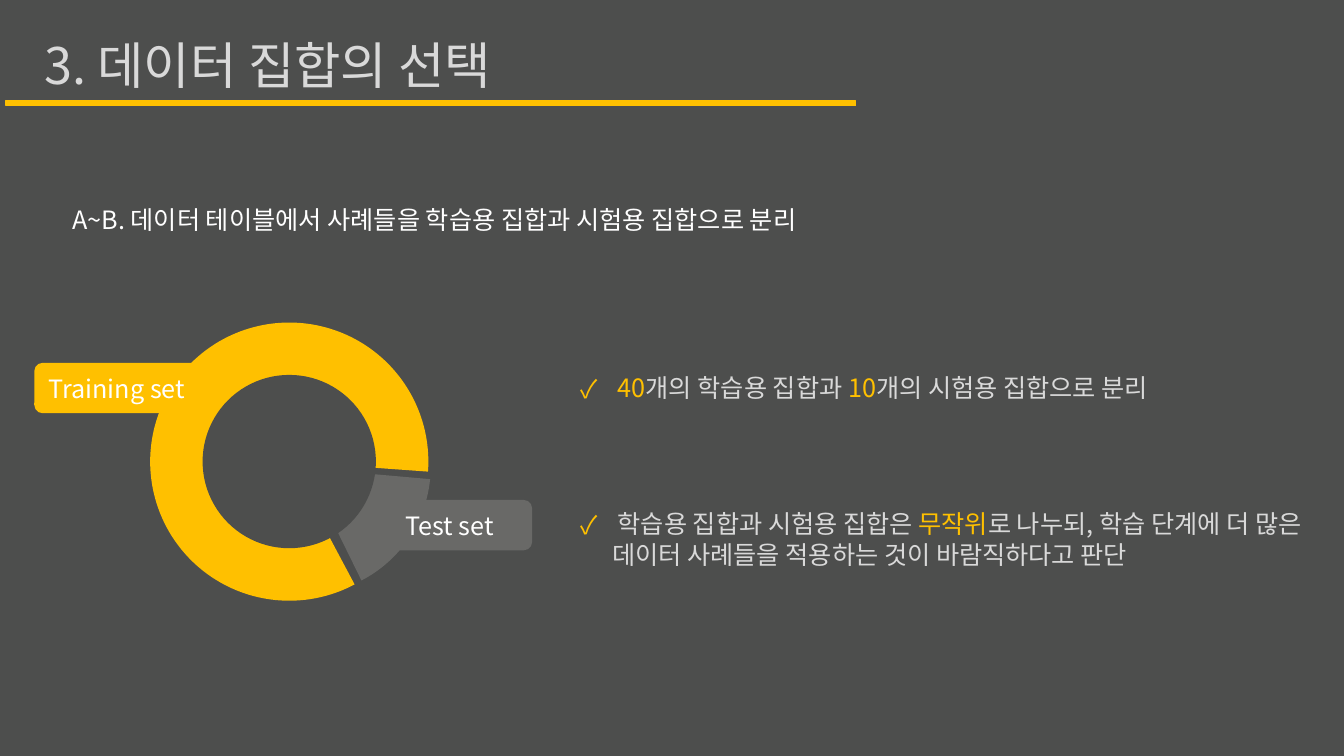
import pptx
import pptx.util
import pptx.dml.color
import pptx.enum.shapes
import pptx.enum.text
import pptx.oxml.ns
import lxml.etree

Pt = pptx.util.Pt
KIND = pptx.enum.shapes.MSO_SHAPE
ALIGN = pptx.enum.text.PP_ALIGN
ANCHOR = pptx.enum.text.MSO_ANCHOR
FONT = "Noto Sans CJK KR"
HUES = {
    "back": "4D4E4D",
    "gold": "FFC000",
    "gray": "696967",
    "pale": "D9D9D9",
    "white": "FFFFFF",
}
POINTS = [
    [(" 40", "gold"), ("개의 학습용 집합과 ", "pale"), ("10", "gold"),
     ("개의 시험용 집합으로 분리", "pale")],
    [(" ", "gold"), ("학습용 집합과 시험용 집합은 ", "pale"), ("무작위", "gold"),
     ("로 나누되, 학습 단계에 더 많은 데이터 사례들을 적용하는 것이 바람직하다고 판단", "pale")],
]


def shade(hue):
    return pptx.dml.color.RGBColor.from_string(HUES[hue])


def add_tag(parent, name, **attrs):
    return lxml.etree.SubElement(parent, pptx.oxml.ns.qn(name), attrs)


def style(run, size, hue):
    run.font.size = Pt(size)
    run.font.name = FONT
    run.font.color.rgb = shade(hue)
    add_tag(run.font._element, "a:ea", typeface=FONT)


def place(item, left, top, width, height):
    item.left, item.top = Pt(left), Pt(top)
    item.width, item.height = Pt(width), Pt(height)


def write(item, text, size, hue, align=ALIGN.LEFT, anchor=ANCHOR.TOP):
    frame = item.text_frame
    frame.text = text
    frame.word_wrap = True
    frame.vertical_anchor = anchor
    para = frame.paragraphs[0]
    para.alignment = align
    style(para.runs[0], size, hue)


def draw(shapes, kind, box, hue, angles=()):
    shape = shapes.add_shape(kind, *map(Pt, box))
    shape.shadow.inherit = False
    shape.fill.solid()
    shape.fill.fore_color.rgb = shade(hue)
    shape.line.fill.background()
    for i, angle in enumerate(angles):
        shape.adjustments[i] = angle
    return shape


def label(shapes, left, top, text, hue):
    shape = draw(shapes, KIND.ROUNDED_RECTANGLE, (left, top, 118, 36), hue)
    write(shape, text, 18, "white", ALIGN.CENTER, ANCHOR.MIDDLE)


def add_ring(slide):
    parts = slide.shapes.add_group_shape().shapes
    draw(parts, KIND.PIE, (107.3, 230.4, 198.7, 198.7), "gold", (37.19, 2.48))
    test = draw(parts, KIND.PIE, (130.3, 244.1, 177.1, 180.7), "gray", (97.35, 132.63))
    test.rotation = 202.8
    draw(parts, KIND.OVAL, (144.7, 267.8, 123.8, 123.8), "back")
    label(parts, 24.5, 259.2, "Training set", "gold")
    label(parts, 262.1, 357.1, "Test set", "gray")


def fill_list(body, points, gap):
    frame = body.text_frame
    frame.word_wrap = True
    frame.auto_size = pptx.enum.text.MSO_AUTO_SIZE.NONE
    for i, point in enumerate(points):
        para = frame.paragraphs[0] if i == 0 else frame.add_paragraph()
        para.space_before = Pt(gap if i else 0)
        props = para._p.get_or_add_pPr()
        inset = Pt(22.5)
        props.set("marL", str(inset))
        props.set("indent", str(-inset))
        add_tag(add_tag(props, "a:buClr"), "a:srgbClr", val=HUES["gold"])
        add_tag(props, "a:buFont", typeface=FONT)
        add_tag(props, "a:buChar", char="✓")
        for text, hue in point:
            run = para.add_run()
            run.text = text
            style(run, 18, hue)


def main():
    deck = pptx.Presentation()
    deck.slide_width, deck.slide_height = Pt(960), Pt(540)
    slide = deck.slides.add_slide(deck.slide_layouts[1])
    slide.background.fill.solid()
    slide.background.fill.fore_color.rgb = shade("back")

    title = slide.shapes.title
    place(title, 24.5, 20.9, 780, 51)
    write(title, "3. 데이터 집합의 선택", 36, "pale")
    rule = draw(slide.shapes, KIND.RECTANGLE, (4.3, 72, 607, 3.6), "gold")
    rule.line.color.rgb = shade("gold")
    rule.line.width = Pt(1)

    intro = slide.shapes.add_textbox(*map(Pt, (44.6, 142.6, 845, 29)))
    write(intro, "A~B. 데이터 테이블에서 사례들을 학습용 집합과 시험용 집합으로 분리", 18, "white")
    add_ring(slide)

    body = slide.placeholders[1]
    place(body, 407.5, 262.1, 532, 149)
    fill_list(body, POINTS, 76)
    deck.save("out.pptx")


main()
